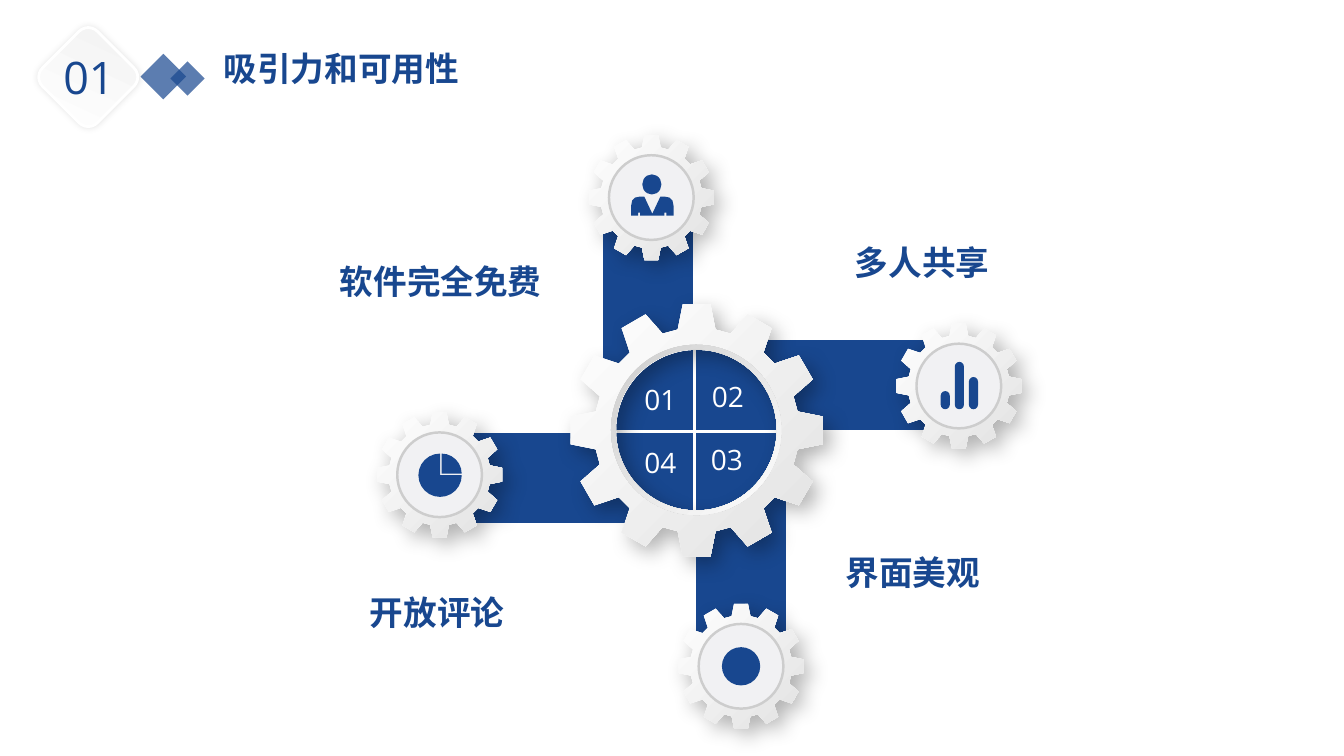
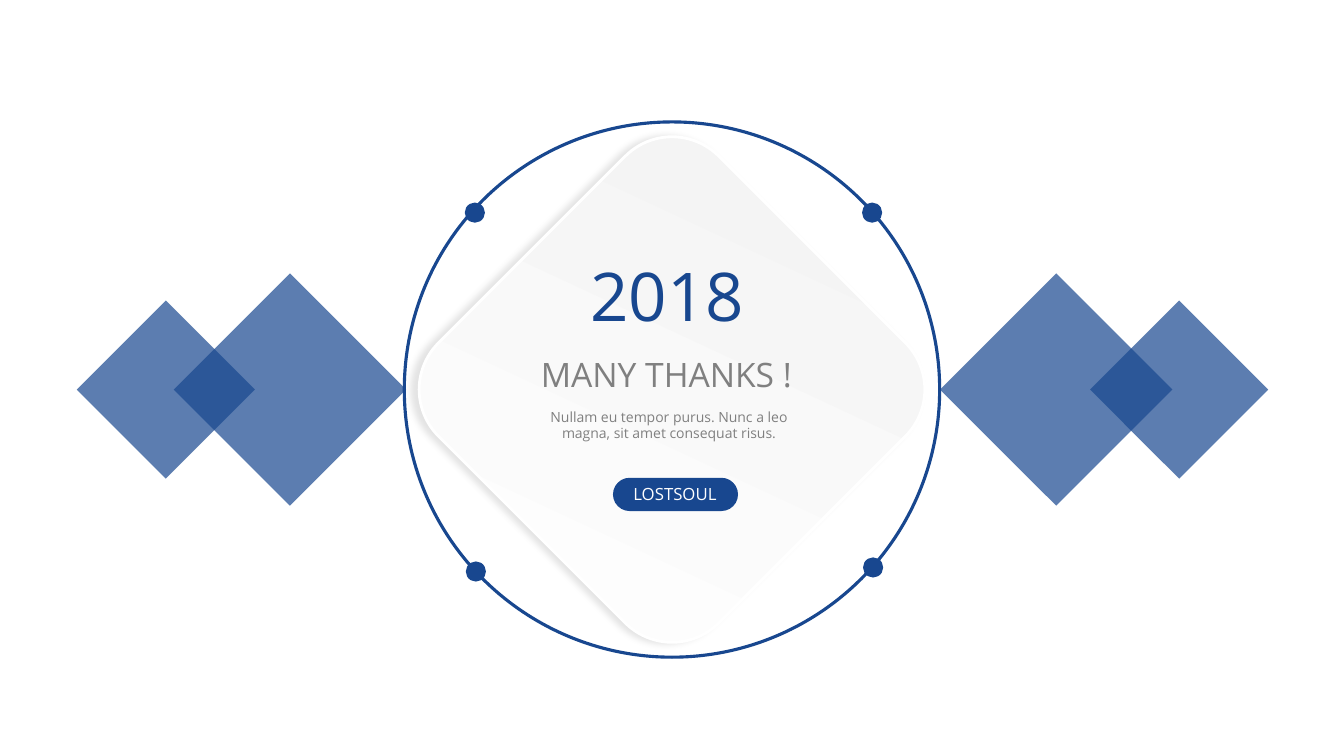
from math import cos, pi, radians, sin

from lxml import etree
from pptx import Presentation
from pptx.dml.color import RGBColor
from pptx.enum.shapes import MSO_SHAPE
from pptx.enum.text import MSO_AUTO_SIZE, PP_ALIGN
from pptx.oxml.ns import qn
from pptx.util import Inches, Pt

RECT, ROUND, OVAL = MSO_SHAPE.RECTANGLE, MSO_SHAPE.ROUNDED_RECTANGLE, MSO_SHAPE.OVAL
DONUT, PIE = MSO_SHAPE.DONUT, MSO_SHAPE.PIE
LEFT, CENTER, RIGHT = PP_ALIGN.LEFT, PP_ALIGN.CENTER, PP_ALIGN.RIGHT
FIT = MSO_AUTO_SIZE.SHAPE_TO_FIT_TEXT

FONT = "Open Sans"
BLUE, WHITE, GREY = "18478F", "FFFFFF", "808080"
PALE, SILVER, METAL = "F2F2F2", "CDCDCD", "E2E2E2"
DISC = "F1F1F3"


def style(shape, fill=None, line=None, width=1, alpha=100, angle=0, shadow=None):
    if isinstance(fill, tuple):
        shape.fill.gradient()
        shape.fill.gradient_angle = 360 - angle
        for stop, colour in zip(shape.fill.gradient_stops, fill):
            stop.color.rgb = RGBColor.from_string(colour)
    elif fill:
        shape.fill.solid()
        shape.fill.fore_color.rgb = RGBColor.from_string(fill)
        if alpha < 100:
            colour = shape._element.spPr.find(".//" + qn("a:srgbClr"))
            etree.SubElement(colour, qn("a:alpha"), val=str(alpha * 1000))
    else:
        shape.fill.background()
    if line:
        shape.line.color.rgb = RGBColor.from_string(line)
        shape.line.width = Pt(width)
    else:
        shape.line.fill.background()
    shape.shadow.inherit = False
    if shadow:
        opacity, blur, distance, direction = shadow
        effects = shape._element.spPr.find(qn("a:effectLst"))
        outer = etree.SubElement(
            effects, qn("a:outerShdw"), blurRad=str(Pt(blur)), dist=str(Pt(distance)),
            dir=str(direction * 60000), algn="ctr", rotWithShape="0")
        colour = etree.SubElement(outer, qn("a:srgbClr"), val="000000")
        etree.SubElement(colour, qn("a:alpha"), val=str(opacity * 1000))
    return shape


def add_text(page, bounds, text, size, colour, align=CENTER, bold=False, spacing=None, wrap=True):
    box = page.shapes.add_textbox(*map(Inches, bounds))
    box.text_frame.word_wrap = wrap
    box.text_frame.auto_size = FIT
    para = box.text_frame.paragraphs[0]
    para.text = text
    para.alignment = align
    para.line_spacing = spacing
    para.font.name = FONT
    para.font.size = Pt(size)
    para.font.bold = bold
    para.font.color.rgb = RGBColor.from_string(colour)


deck = Presentation()
deck.slide_width, deck.slide_height = Inches(13.33), Inches(7.5)
features = deck.slides.add_slide(deck.slide_layouts[6])
closing = deck.slides.add_slide(deck.slide_layouts[6])

DIAMONDS = [
    (features, [(1.46, 0.6, 0.32), (1.74, 0.66, 0.24)], (0.49, 0.38, 0.77), 0),
    (closing, [(2.06, 3.05, 1.63), (1.02, 3.24, 1.25), (9.66, 3.05, 1.63), (11.07, 3.24, 1.25)],
     (4.7, 1.9, 3.93), 5),
]
for page, diamonds, (left, top, side), distance in DIAMONDS:
    for x, y, edge in diamonds:
        diamond = page.shapes.add_shape(RECT, *map(Inches, (x, y, edge, edge)))
        diamond.rotation = 45
        style(diamond, BLUE, alpha=70)
    plate = page.shapes.add_shape(ROUND, *map(Inches, (left, top, side, side)))
    plate.rotation = 45
    style(plate, (WHITE, PALE), WHITE, 2, angle=250, shadow=(11, 5, distance, 180))

add_text(features, (2.12, 0.43, 2.65, 0.5), "吸引力和可用性", 24, BLUE, LEFT, True)
add_text(features, (0.53, 0.44, 0.71, 0.64), "01", 32, BLUE, LEFT, wrap=False)

HUB_X, HUB_Y, ARM_WIDTH, ARM_LENGTH = 6.89, 4.28, 0.92, 2.41
ARMS = [
    (HUB_X - ARM_WIDTH, HUB_Y - ARM_LENGTH, ARM_WIDTH, ARM_LENGTH),
    (HUB_X, HUB_Y - ARM_WIDTH, ARM_LENGTH, ARM_WIDTH),
    (HUB_X, HUB_Y, ARM_WIDTH, ARM_LENGTH),
    (HUB_X - ARM_LENGTH, HUB_Y, ARM_LENGTH, ARM_WIDTH),
]
for arm in ARMS:
    style(features.shapes.add_shape(RECT, *map(Inches, arm)), BLUE, WHITE, 2)

TEETH = 12
TOOTH = [(-0.15, 0.8), (-0.11, 1), (0.11, 1), (0.15, 0.8)]
GEARS = [
    (6.91, 4.27, 1.25, 0.8),
    (4.36, 4.71, 0.62, 0),
    (6.46, 1.96, 0.62, 0),
    (9.51, 3.83, 0.62, 0),
    (7.35, 6.61, 0.62, 0),
]
for x, y, radius, hole in GEARS:
    rim = []
    for tooth in range(TEETH):
        turn = 2 * pi * tooth / TEETH
        for across, out in TOOTH:
            rim.append((Inches(x + radius * (across * cos(turn) + out * sin(turn))),
                        Inches(y + radius * (across * sin(turn) - out * cos(turn)))))
    outline = features.shapes.build_freeform(*rim[0])
    outline.add_line_segments(rim[1:], close=True)
    if hole:
        edge = [(Inches(x + hole * cos(radians(step))), Inches(y - hole * sin(radians(step))))
                for step in range(0, 360, 4)]
        outline.move_to(*edge[0])
        outline.add_line_segments(edge[1:], close=True)
    style(outline.convert_to_shape(), (WHITE, METAL), angle=45, shadow=(30, 15, 7, 45))
    if hole:
        ring = features.shapes.add_shape(DONUT, *map(Inches, (6.06, 3.42, 1.69, 1.69)))
        ring.adjustments[0] = 0.027
        style(ring, (SILVER, WHITE), angle=45)
    else:
        disc = features.shapes.add_shape(OVAL, *map(Inches, (x - 0.42, y - 0.42, 0.84, 0.84)))
        style(disc, DISC, SILVER, 1.75)

for left, top in [(9.33, 3.88), (9.47, 3.59), (9.61, 3.74)]:
    column = features.shapes.add_shape(ROUND, *map(Inches, (left, top, 0.09, 4.06 - top)))
    column.adjustments[0] = 0.5
    style(column, BLUE)

style(features.shapes.add_shape(PIE, *map(Inches, (4.15, 4.5, 0.43, 0.43))), BLUE)
slice_shape = features.shapes.add_shape(PIE, *map(Inches, (4.18, 4.5, 0.4, 0.4)))
slice_shape.adjustments[0], slice_shape.adjustments[1] = 162, 0
style(slice_shape, BLUE)

style(features.shapes.add_shape(OVAL, *map(Inches, (6.37, 1.73, 0.19, 0.2))), BLUE)
half = [(0.08, 1.95), (0.12, 1.95), (0.17, 1.96), (0.2, 1.99), (0.21, 2.04), (0.21, 2.14),
        (0.14, 2.14), (0.14, 2.11), (0.12, 2.11), (0.12, 2.14)]
body = [(6.47, 2.12)] + [(6.47 + dx, y) for dx, y in half]
body += [(6.47 - dx, y) for dx, y in reversed(half)]
points = [(Inches(x), Inches(y)) for x, y in body]
torso = features.shapes.build_freeform(*points[0])
torso.add_line_segments(points[1:], close=True)
style(torso.convert_to_shape(), BLUE)

style(features.shapes.add_shape(OVAL, *map(Inches, (7.16, 6.42, 0.38, 0.38))), BLUE)

NUMBERS = [("01", 6.02, 3.75), ("02", 6.69, 3.72), ("03", 6.68, 4.34), ("04", 6.02, 4.37)]
for number, left, top in NUMBERS:
    add_text(features, (left, top, 1.06, 0.41), number, 20, WHITE)

LABELS = [
    ("软件完全免费", 2.91, 2.14, 2.56, RIGHT),
    ("多人共享", 8.38, 1.95, 2.56, LEFT),
    ("界面美观", 8.29, 5.03, 3.66, LEFT),
    ("开放评论", 1.32, 5.42, 3.78, RIGHT),
]
for label, left, top, width, align in LABELS:
    add_text(features, (left, top, width, 0.91), label, 24, BLUE, align, True, 2)

style(closing.shapes.add_shape(OVAL, *map(Inches, (4.01, 1.21, 5.31, 5.31))), line=BLUE, width=2.25)
for left, top in [(4.61, 2.01), (8.55, 2.01), (4.62, 5.57), (8.56, 5.53)]:
    style(closing.shapes.add_shape(OVAL, *map(Inches, (left, top, 0.2, 0.2))), BLUE)

pill = closing.shapes.add_shape(ROUND, *map(Inches, (6.08, 4.74, 1.24, 0.33)))
pill.adjustments[0] = 0.5
style(pill, BLUE)

add_text(closing, (5.75, 2.47, 1.74, 0.91), "2018", 48, BLUE, wrap=False)
add_text(closing, (4.76, 3.46, 3.7, 0.5), "MANY THANKS !", 24, GREY)
add_text(closing, (5.15, 4, 2.97, 0.49),
         "Nullam eu tempor purus. Nunc a leo magna, sit amet consequat risus.", 10, GREY)
add_text(closing, (6.06, 4.75, 1.27, 0.34), "LOSTSOUL", 12, WHITE)

deck.save("out.pptx")
